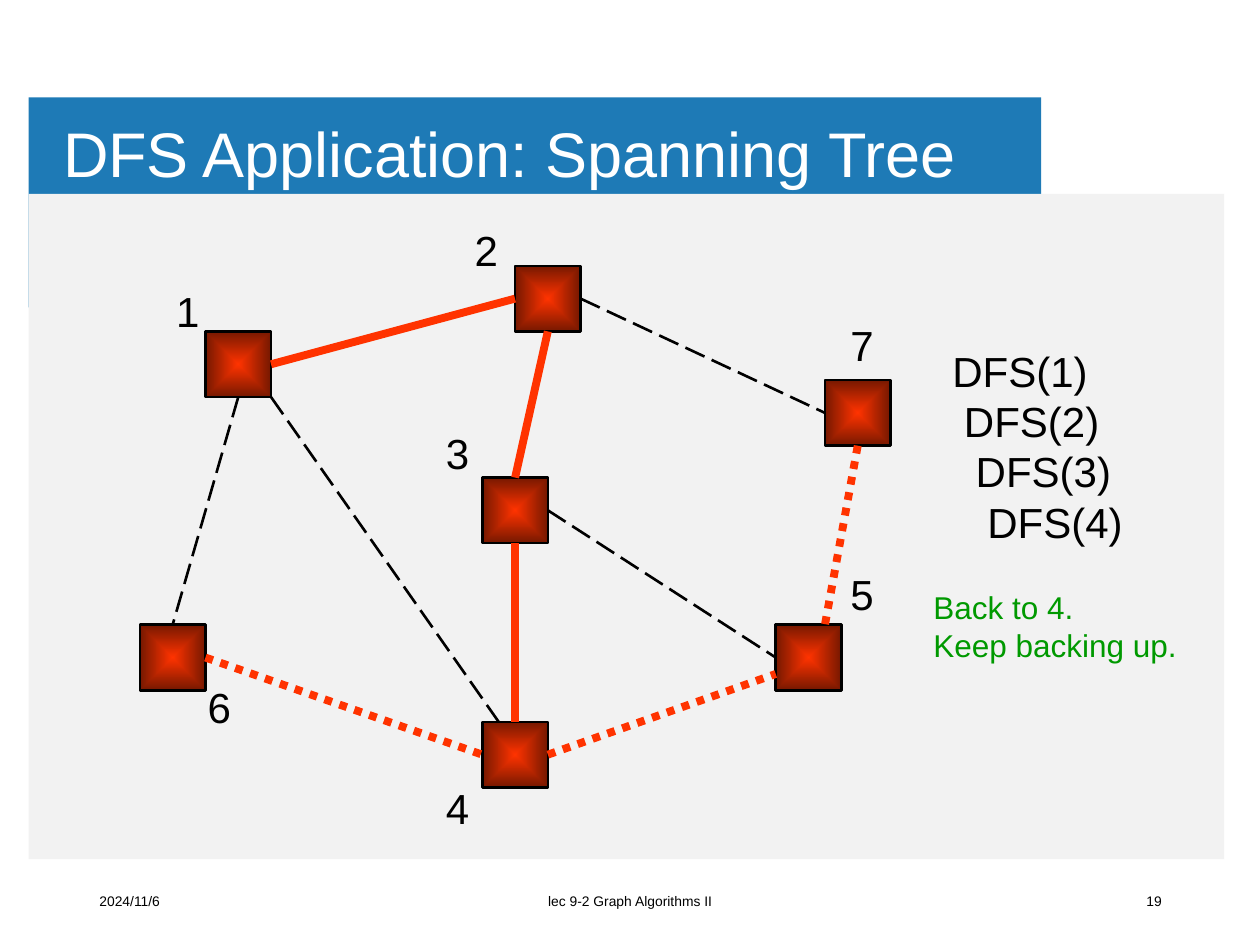
from dataclasses import dataclass

from lxml import etree
from pptx import Presentation
from pptx import util as u
from pptx.dml.color import RGBColor
from pptx.enum import dml, shapes, text
from pptx.oxml import parse_xml
from pptx.oxml.ns import nsdecls, qn

COLORS = {
    "banner": "1E7AB6",
    "panel": "F2F2F2",
    "white": "FFFFFF",
    "black": "000000",
    "red": "FF3300",
    "dark red": "761800",
    "green": "009900",
}
FONT = "Arial"
NODE_SIZE = 37.5
INDENT_STEP = 6.67


@dataclass(frozen=True)
class Node:
    number: int
    left: float
    top: float
    label_left: float
    label_top: float


@dataclass(frozen=True)
class LineStyle:
    color: str
    width: float
    dash: dml.MSO_LINE | None = None


@dataclass(frozen=True)
class Edge:
    start: int
    start_anchor: tuple[float, float]
    end: int
    end_anchor: tuple[float, float]
    style: LineStyle


@dataclass(frozen=True)
class Label:
    lines: tuple[str, ...]
    frame: tuple[float, float, float, float]
    size: float
    color: str = "black"
    align: text.PP_ALIGN = text.PP_ALIGN.LEFT
    anchor: text.MSO_ANCHOR = text.MSO_ANCHOR.TOP
    wrap: bool = True
    step: float = 0


TREE = LineStyle("red", 4.5)
BACKED_UP = LineStyle("red", 4.5, dml.MSO_LINE.ROUND_DOT)
UNUSED = LineStyle("black", 1.5, dml.MSO_LINE.LONG_DASH)

TOP, BOTTOM, LEFT, RIGHT = (0.5, 0), (0.5, 1), (0, 0.5), (1, 0.5)

NODES = (
    Node(1, 117.4, 189.4, 93.6, 159.8),
    Node(6, 79.9, 357, 111.6, 386),
    Node(4, 275.6, 412.5, 247.7, 443.5),
    Node(5, 443.3, 357, 478.8, 321.1),
    Node(3, 275.6, 272.9, 247.7, 240.5),
    Node(2, 294.3, 151.9, 264.2, 124.6),
    Node(7, 471.4, 217.2, 478.8, 179.3),
)

EDGES = (
    Edge(1, RIGHT, 2, LEFT, TREE),
    Edge(2, BOTTOM, 3, TOP, TREE),
    Edge(2, RIGHT, 7, LEFT, UNUSED),
    Edge(3, RIGHT, 5, LEFT, UNUSED),
    Edge(7, BOTTOM, 5, (0.75, 0), BACKED_UP),
    Edge(3, BOTTOM, 4, TOP, TREE),
    Edge(4, RIGHT, 5, (0, 0.75), BACKED_UP),
    Edge(6, RIGHT, 4, LEFT, BACKED_UP),
    Edge(1, BOTTOM, 6, TOP, UNUSED),
    Edge(1, (1, 1), 4, (0.25, 0), UNUSED),
)

MIDDLE = text.MSO_ANCHOR.MIDDLE
FOOTERS = (
    Label(("2024/11/6",), (49.7, 500.4, 162, 28.8), 7.9, anchor=MIDDLE),
    Label(("lec 9-2 Graph Algorithms II",), (238.3, 500.4, 243.4, 28.8), 7.9,
          align=text.PP_ALIGN.CENTER, anchor=MIDDLE),
    Label(("19",), (509, 500.4, 162, 28.8), 7.9,
          align=text.PP_ALIGN.RIGHT, anchor=MIDDLE),
)
NOTES = (
    Label(("DFS(1)", "DFS(2)", "DFS(3)", "DFS(4)"), (537.1, 193.7, 114.5, 123.8), 24,
          wrap=False, step=INDENT_STEP),
    Label(("Back to 4.", "Keep backing up."), (526.3, 332.6, 157.7, 51.1), 18,
          "green", wrap=False),
)


def rgb(name: str) -> RGBColor:
    return RGBColor.from_string(COLORS[name])


def points(*values: float) -> list[u.Pt]:
    return [u.Pt(value) for value in values]


def add_panel(page, frame: tuple[float, float, float, float], color: str) -> None:
    panel = page.shapes.add_shape(shapes.MSO_SHAPE.RECTANGLE, *points(*frame))
    panel.shadow.inherit = False
    panel.fill.solid()
    panel.fill.fore_color.rgb = rgb(color)
    panel.line.fill.background()


def add_title(page, words: str) -> None:
    title = page.shapes.title
    page.shapes._spTree.append(title._element)
    title.left, title.top, title.width, title.height = points(31, 54.7, 578.2, 70.6)
    frame = title.text_frame
    frame.text = words
    frame.word_wrap = True
    frame.auto_size = text.MSO_AUTO_SIZE.NONE
    frame.vertical_anchor = MIDDLE
    frame.margin_left, frame.margin_right = points(5, 5)
    frame.margin_top, frame.margin_bottom = points(2.9, 2.9)
    para = frame.paragraphs[0]
    para.alignment = text.PP_ALIGN.LEFT
    para.line_spacing = 0.9
    para.font.name, para.font.size = FONT, u.Pt(36)
    para.font.color.rgb = rgb("white")


def add_label(page, label: Label) -> None:
    box = page.shapes.add_textbox(*points(*label.frame))
    frame = box.text_frame
    frame.text = "\n".join(label.lines)
    frame.word_wrap = label.wrap
    frame.vertical_anchor = label.anchor
    for level, para in enumerate(frame.paragraphs):
        if label.step:
            para._p.get_or_add_pPr().set("marL", str(int(u.Pt(level * label.step))))
        para.alignment = label.align
        para.font.name, para.font.size = FONT, u.Pt(label.size)
        para.font.color.rgb = rgb(label.color)


def add_node(page, node: Node) -> None:
    square = page.shapes.add_shape(
        shapes.MSO_SHAPE.RECTANGLE, *points(node.left, node.top, NODE_SIZE, NODE_SIZE))
    square.shadow.inherit = False
    square.line.color.rgb = rgb("black")
    square.line.width = u.Pt(1.5)
    gradient = parse_xml(
        f'<a:gradFill {nsdecls("a")} rotWithShape="1"><a:gsLst>'
        f'<a:gs pos="0"><a:srgbClr val="{COLORS["red"]}"/></a:gs>'
        f'<a:gs pos="100000"><a:srgbClr val="{COLORS["dark red"]}"/></a:gs></a:gsLst>'
        '<a:path path="shape"><a:fillToRect l="50000" t="50000" r="50000" b="50000"/>'
        '</a:path></a:gradFill>')
    square._element.spPr.find(qn("a:prstGeom")).addnext(gradient)


def anchor_point(node: Node, anchor: tuple[float, float]) -> list[u.Pt]:
    return points(node.left + anchor[0] * NODE_SIZE, node.top + anchor[1] * NODE_SIZE)


def add_edge(page, edge: Edge, nodes: dict[int, Node]) -> None:
    line = page.shapes.add_connector(
        shapes.MSO_CONNECTOR.STRAIGHT,
        *anchor_point(nodes[edge.start], edge.start_anchor),
        *anchor_point(nodes[edge.end], edge.end_anchor))
    line.line.color.rgb = rgb(edge.style.color)
    line.line.width = u.Pt(edge.style.width)
    if edge.style.dash:
        line.line.dash_style = edge.style.dash
    etree.SubElement(line._element.spPr, qn("a:effectLst"))


def main() -> None:
    deck = Presentation()
    deck.slide_width, deck.slide_height = points(720, 540)
    page = deck.slides.add_slide(deck.slide_layouts[5])
    add_panel(page, (16.4, 55.7, 578.6, 120), "banner")
    add_panel(page, (16.4, 110.8, 683.2, 380.2), "panel")
    add_title(page, "DFS Application: Spanning Tree")
    for footer in FOOTERS:
        add_label(page, footer)
    for node in NODES:
        add_node(page, node)
    nodes = {node.number: node for node in NODES}
    for edge in EDGES:
        add_edge(page, edge, nodes)
    for node in NODES:
        add_label(page, Label((str(node.number),),
                              (node.label_left, node.label_top, 50.4, 36), 24))
    for note in NOTES:
        add_label(page, note)
    deck.save("out.pptx")


if __name__ == "__main__":
    main()
